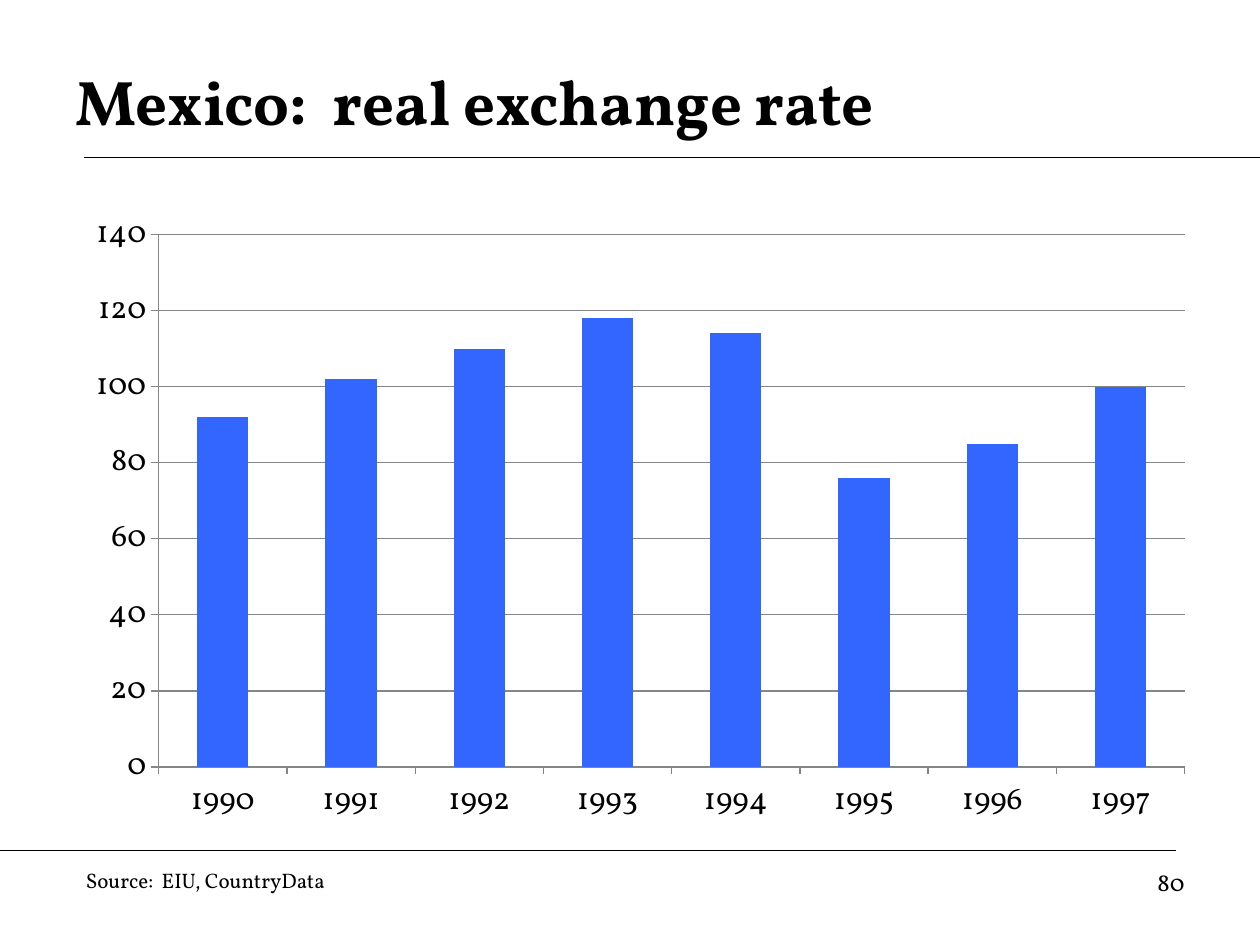
from lxml.etree import SubElement
from pptx import Presentation
from pptx.chart.data import CategoryChartData
from pptx.dml.color import RGBColor
from pptx.enum.chart import XL_CHART_TYPE as ChartType, XL_TICK_MARK as TickMark
from pptx.enum.shapes import MSO_CONNECTOR as Connector
from pptx.enum.text import MSO_ANCHOR as Anchor, MSO_AUTO_SIZE as AutoSize, PP_ALIGN as Align
from pptx.oxml.ns import qn
from pptx.util import Cm, Pt

COLORS = {"text": "000000", "rule": "000000", "grid": "868686", "bar": "3366FF"}
FONT = "Vollkorn"
RATES = {1990: 92, 1991: 102, 1992: 110, 1993: 118,
         1994: 114, 1995: 76, 1996: 85, 1997: 100}


def color(name):
    return RGBColor.from_string(COLORS[name])


def style_font(font, size, bold=False):
    font.name = FONT
    font.size = Pt(size)
    font.bold = bold
    font.color.rgb = color("text")


def style_line(line, name):
    line.color.rgb = color(name)
    line.width = Pt(0.75)


def add_rule(slide, left, right, y):
    rule = slide.shapes.add_connector(Connector.STRAIGHT, Cm(left), Cm(y), Cm(right), Cm(y))
    style_line(rule.line, "rule")
    SubElement(rule._element.spPr, qn("a:effectLst"))


def set_title(slide, text):
    title = slide.shapes.title
    title.left, title.top, title.width, title.height = Cm(1.27), Cm(0.85), Cm(22.86), Cm(2.33)
    frame = title.text_frame
    frame.text = text
    frame.auto_size = AutoSize.NONE
    frame.vertical_anchor = Anchor.MIDDLE
    paragraph = frame.paragraphs[0]
    paragraph.alignment = Align.LEFT
    style_font(paragraph.runs[0].font, 36, bold=True)


def add_note(slide, text, left, width, height, size, align=Align.LEFT):
    note = slide.shapes.add_textbox(Cm(left), Cm(17.36), Cm(width), Cm(height))
    frame = note.text_frame
    frame.word_wrap = True
    frame.text = text
    paragraph = frame.paragraphs[0]
    paragraph.alignment = align
    style_font(paragraph.runs[0].font, size)


def add_rate_chart(slide):
    data = CategoryChartData()
    data.categories = [str(year) for year in RATES]
    data.add_series("Series 1", RATES.values())
    chart = slide.shapes.add_chart(ChartType.COLUMN_CLUSTERED, Cm(1.48), Cm(4.02),
                                   Cm(22.86), Cm(12.85), data).chart
    chart.has_legend = False
    chart.has_title = False
    style_font(chart.font, 18)

    # Columns
    plot = chart.plots[0]
    plot.gap_width = 150
    plot.vary_by_categories = False
    bars = plot.series[0].format.fill
    bars.solid()
    bars.fore_color.rgb = color("bar")

    # Axes and gridlines
    for axis in (chart.category_axis, chart.value_axis):
        axis.major_tick_mark = TickMark.OUTSIDE
        axis.minor_tick_mark = TickMark.NONE
        style_line(axis.format.line, "grid")
    rates = chart.value_axis
    rates.minimum_scale, rates.maximum_scale, rates.major_unit = 0, 140, 20
    rates.has_major_gridlines = True
    style_line(rates.major_gridlines.format.line, "grid")


def main():
    deck = Presentation()
    deck.slide_width, deck.slide_height = Cm(25.4), Cm(19.05)
    slide = deck.slides.add_slide(deck.slide_layouts[5])

    # Rules above and below the chart
    add_rule(slide, 1.69, 25.4, 3.18)
    add_rule(slide, 0, 23.71, 17.15)

    # Title and chart
    set_title(slide, "Mexico:  real exchange rate")
    add_rate_chart(slide)

    # Footer
    add_note(slide, "80", 18.2, 5.93, 1.32, 14, Align.RIGHT)
    add_note(slide, "Source:  EIU, CountryData", 1.48, 12.28, 0.77, 12)

    deck.save("out.pptx")


if __name__ == "__main__":
    main()
